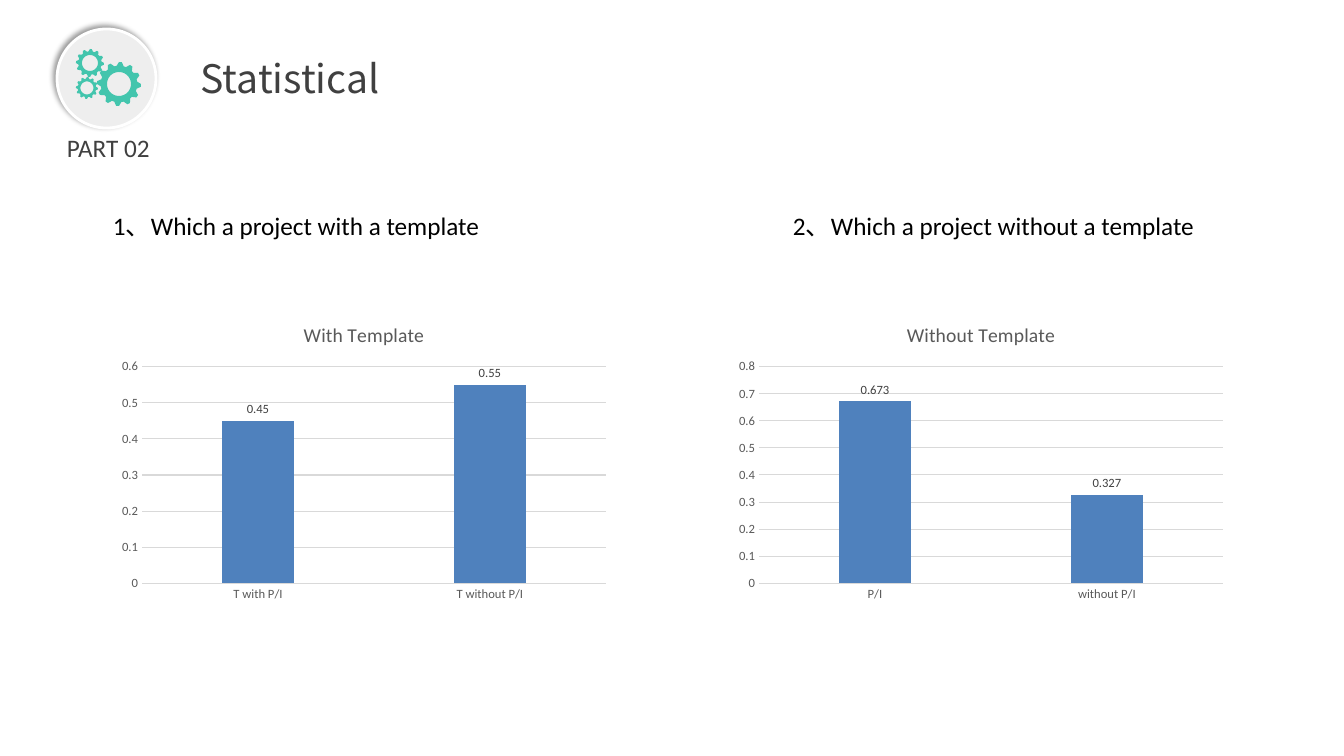
from math import cos, pi, sin

from lxml.etree import SubElement
from pptx import Presentation
from pptx.chart.data import CategoryChartData
from pptx.dml.color import RGBColor
from pptx.enum.chart import XL_CHART_TYPE as ChartType
from pptx.enum.chart import XL_LABEL_POSITION as LabelPosition
from pptx.enum.chart import XL_TICK_MARK as TickMark
from pptx.enum.shapes import MSO_SHAPE as Shape
from pptx.enum.text import MSO_ANCHOR as Anchor
from pptx.enum.text import MSO_AUTO_SIZE as AutoSize
from pptx.enum.text import PP_ALIGN as Align
from pptx.oxml.ns import qn
from pptx.util import Pt

EMU_PER_PIXEL = 914400 / 100.8
TEXT_FONT, TITLE_FONT = "Calibri", "Noto Sans CJK SC"
DARK, GRAY, GRID, BLUE, TEAL = "404040", "595959", "D9D9D9", "4F81BD", "43C5AD"

TITLE = "Statistical"
PART = "PART 02"
PANELS = [
    {"heading": "1、Which a project with a template", "heading_left": 103,
     "chart_left": 112, "chart_title": "With Template", "axis_top": 0.6,
     "bars": {"T with P/I": 0.45, "T without P/I": 0.55}},
    {"heading": "2、Which a project without a template", "heading_left": 783,
     "chart_left": 729, "chart_title": "Without Template", "axis_top": 0.8,
     "bars": {"P/I": 0.673, "without P/I": 0.327}},
]
# Centre x, centre y, outer radius, hole radius
GEARS = [(119, 84, 22, 12), (90, 63, 14, 8), (87, 88, 11, 6.5)]
TEETH = 12


def px(length):
    """Turn pixels into EMU."""
    return round(length * EMU_PER_PIXEL)


def place(*lengths):
    """Turn left, top, width and height in pixels into EMU."""
    return [px(length) for length in lengths]


def color(code):
    """Turn a hex string into a colour."""
    return RGBColor.from_string(code)


def style_font(font, size, code, name=TEXT_FONT):
    """Set the size, colour and typeface of a font."""
    font.size, font.name, font.bold = Pt(size), name, False
    font.color.rgb = color(code)


def write(frame, text, size=18, code=DARK, name=TEXT_FONT, align=Align.LEFT,
          anchor=Anchor.TOP, wrap=True):
    """Fill a text frame with one formatted paragraph."""
    frame.word_wrap, frame.auto_size = wrap, AutoSize.NONE
    frame.vertical_anchor = anchor
    para = frame.paragraphs[0]
    para.alignment = align
    span = para.add_run()
    span.text = text
    style_font(span.font, size, code, name)


def add_badge(page):
    """Draw the round badge with its soft shadow."""
    badge = page.shapes.add_shape(Shape.OVAL, *place(57, 29, 99, 99))
    badge.fill.solid()
    badge.fill.fore_color.rgb = color("EEEEEE")
    badge.line.color.rgb = color("FFFFFF")
    badge.line.width = Pt(2)
    badge.shadow.inherit = False
    effects = badge.element.spPr.find(qn("a:effectLst"))
    shadow = SubElement(effects, qn("a:outerShdw"), blurRad=str(Pt(4)),
                        dist=str(Pt(3)), dir=str(225 * 60000), rotWithShape="0")
    black = SubElement(shadow, qn("a:srgbClr"), val="000000")
    SubElement(black, qn("a:alpha"), val="40000")


def ring(x, y, radii):
    """Return points around a centre, one for each radius."""
    step = 2 * pi / len(radii)
    return [(px(x + r * cos(i * step)), px(y + r * sin(i * step)))
            for i, r in enumerate(radii)]


def add_gear(page, x, y, radius, hole):
    """Draw a toothed wheel with a round hole."""
    valley = radius * 0.83
    rim = ring(x, y, [radius, radius, valley, valley] * TEETH)
    inner = ring(x, y, [hole] * 48)
    builder = page.shapes.build_freeform(*rim[0])
    builder.add_line_segments(rim[1:])
    builder.move_to(*inner[0])
    builder.add_line_segments(inner[1:])
    gear = builder.convert_to_shape()
    gear.fill.solid()
    gear.fill.fore_color.rgb = color(TEAL)
    gear.line.fill.background()
    gear.shadow.inherit = False


def add_column_chart(page, left, title, bars, axis_top):
    """Add a titled column chart with value labels."""
    data = CategoryChartData()
    data.categories = list(bars)
    data.add_series("Series 1", list(bars.values()))
    chart = page.shapes.add_chart(ChartType.COLUMN_CLUSTERED,
                                  *place(left, 306, 504, 302), data).chart
    style_font(chart.font, 10, "000000")
    chart.has_legend = False
    chart.has_title = True
    write_title = chart.chart_title.text_frame.paragraphs[0].add_run()
    write_title.text = title
    style_font(write_title.font, 14, GRAY)

    for axis in (chart.category_axis, chart.value_axis):
        axis.major_tick_mark = axis.minor_tick_mark = TickMark.NONE
        style_font(axis.tick_labels.font, 9, GRAY)
    values = chart.value_axis
    values.minimum_scale, values.maximum_scale, values.major_unit = 0, axis_top, 0.1
    values.format.line.fill.background()
    for line in (chart.category_axis.format.line, values.major_gridlines.format.line):
        line.color.rgb = color(GRID)
        line.width = Pt(0.75)

    plot = chart.plots[0]
    plot.gap_width, plot.overlap, plot.vary_by_categories = 219, -27, False
    plot.has_data_labels = True
    labels = plot.data_labels
    labels.show_value, labels.position = True, LabelPosition.OUTSIDE_END
    style_font(labels.font, 9, DARK)
    fill = plot.series[0].format.fill
    fill.solid()
    fill.fore_color.rgb = color(BLUE)


def add_textbox(page, bounds, text, **style):
    """Add a text box with formatted text."""
    box = page.shapes.add_textbox(*place(*bounds))
    write(box.text_frame, text, **style)


deck = Presentation()
deck.slide_width, deck.slide_height = px(1344), px(756)
page = deck.slides.add_slide(deck.slide_layouts[5])

heading = page.shapes.title
heading.left, heading.top, heading.width, heading.height = place(90, 49, 400, 57)
write(heading.text_frame, TITLE, size=28, name=TITLE_FONT, align=Align.CENTER,
      anchor=Anchor.MIDDLE)

add_textbox(page, (57, 127, 110, 40), PART, wrap=False)
add_badge(page)
for gear in GEARS:
    add_gear(page, *gear)
for panel in PANELS:
    add_textbox(page, (panel["heading_left"], 205, 450, 40), panel["heading"],
                code="000000")
    add_column_chart(page, panel["chart_left"], panel["chart_title"],
                     panel["bars"], panel["axis_top"])

deck.save("out.pptx")
